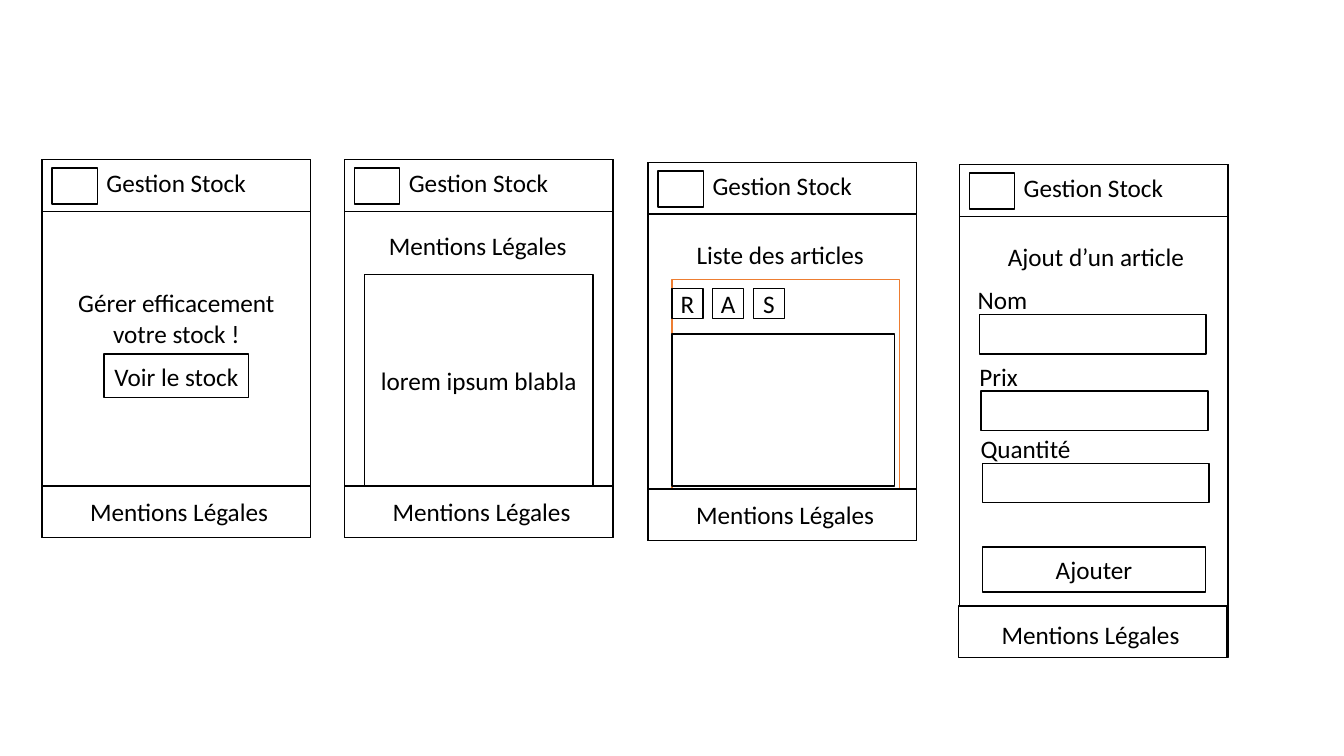
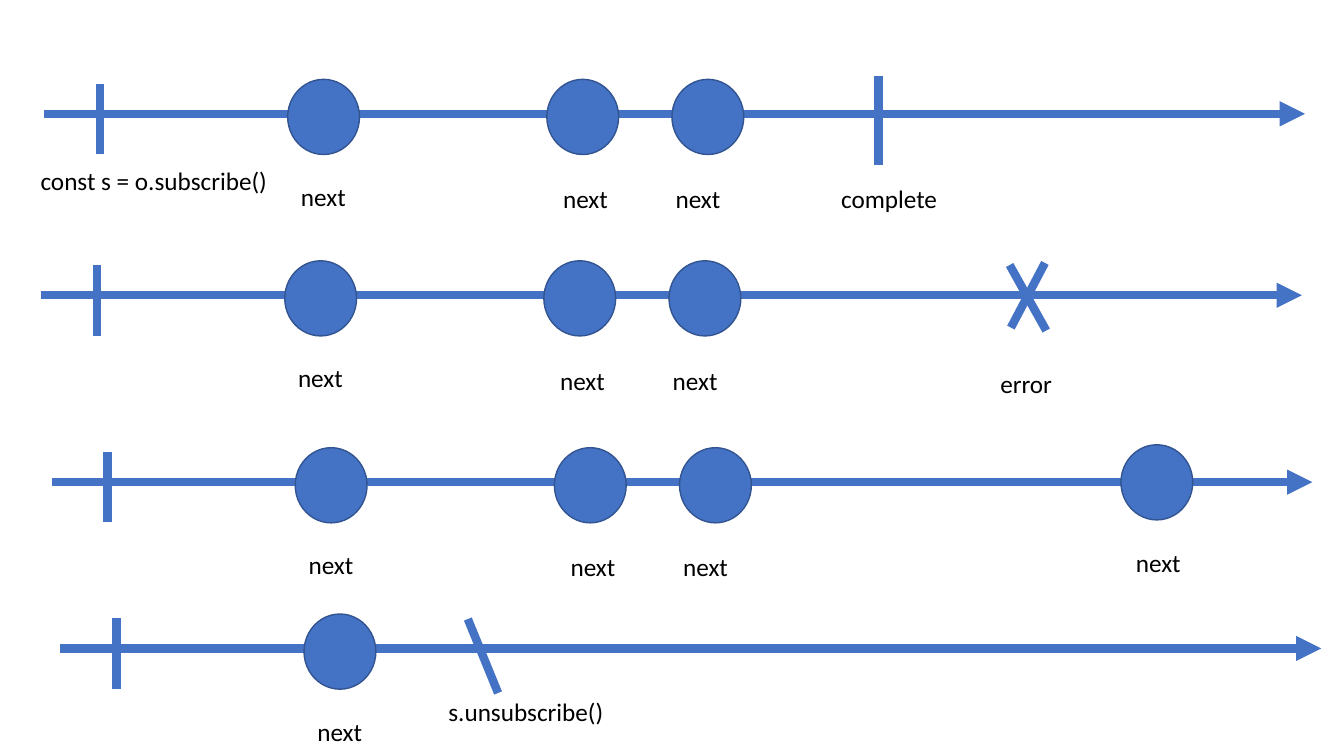
from dataclasses import dataclass
from typing import NamedTuple

from lxml.etree import SubElement
from pptx import Presentation
from pptx.dml.color import RGBColor as Rgb
from pptx.enum.shapes import MSO_CONNECTOR as Connector, MSO_SHAPE as Preset
from pptx.enum.text import MSO_ANCHOR as Anchor, MSO_AUTO_SIZE as AutoSize, PP_ALIGN as Align
from pptx.oxml.ns import qn
from pptx.util import Inches, Pt


@dataclass(frozen=True)
class Theme:
    font: str = "Calibri"
    size: float = 18
    ink: str = "000000"
    paper: str = "FFFFFF"
    highlight: str = "ED7D31"
    marble: str = "4472C4"
    marble_edge: str = "325491"
    thin: float = 1
    thick: float = 6


THEME = Theme()

# The slide is a grid of 160 columns by 90 rows of square cells
COLUMNS, ROWS = 160, 90
SLIDE_HEIGHT = Inches(7.5)
CELL = SLIDE_HEIGHT / ROWS
LABEL_HEIGHT = 4.8


class Box(NamedTuple):
    left: float
    top: float
    width: float
    height: float

    def inner(self, left, top, width, height):
        return Box(self.left + left, self.top + top, width, height)


def cells(*counts):
    return [round(count * CELL) for count in counts]


# Shared drawing helpers

def write(frame, text, align, wrap=False):
    frame.text = text
    frame.word_wrap = wrap
    paragraph = frame.paragraphs[0]
    paragraph.alignment = align
    font = paragraph.runs[0].font
    font.name, font.size = THEME.font, Pt(THEME.size)
    font.color.rgb = Rgb.from_string(THEME.ink)


def draw_shape(slide, box, text="", preset=Preset.RECTANGLE, fill=THEME.paper, edge=THEME.ink):
    shape = slide.shapes.add_shape(preset, *cells(*box))
    shape.shadow.inherit = False
    shape.fill.solid()
    shape.fill.fore_color.rgb = Rgb.from_string(fill)
    shape.line.color.rgb = Rgb.from_string(edge)
    shape.line.width = Pt(THEME.thin)
    if text:
        shape.text_frame.vertical_anchor = Anchor.MIDDLE
        write(shape.text_frame, text, Align.CENTER)


def draw_label(slide, box, text, align=Align.LEFT, wrap=False):
    frame = slide.shapes.add_textbox(*cells(*box)).text_frame
    write(frame, text, align, wrap)
    frame.auto_size = AutoSize.SHAPE_TO_FIT_TEXT


def draw_stroke(slide, start, end, arrow=False):
    stroke = slide.shapes.add_connector(Connector.STRAIGHT, *cells(*start, *end))
    stroke.line.color.rgb = Rgb.from_string(THEME.marble)
    stroke.line.width = Pt(THEME.thick)
    if arrow:
        SubElement(stroke.line._get_or_add_ln(), qn("a:tailEnd"), type="triangle")
    SubElement(stroke._element.spPr, qn("a:effectLst"))


# Wireframe screens: each body is placed relative to its screen

def home_body(slide, screen):
    draw_label(slide, screen.inner(0, 14.65, screen.width, 8.5),
               "Gérer efficacement votre stock !", Align.CENTER, wrap=True)
    draw_shape(slide, screen.inner(7.4, 23.15, 17.2, 5.2), "Voir le stock")


def legal_body(slide, screen):
    draw_label(slide, screen.inner(4.1, 7.8, 23.9, LABEL_HEIGHT), "Mentions Légales")
    draw_shape(slide, screen.inner(2.4, 13.7, 27.2, 25.2), "lorem ipsum blabla")


def list_body(slide, screen):
    margin = 2.85
    draw_shape(slide, screen.inner(margin, 13.9, 27.1, 24.95), edge=THEME.highlight)
    draw_label(slide, screen.inner(4.6, 8.5, 22.6, LABEL_HEIGHT), "Liste des articles")
    draw_shape(slide, screen.inner(margin, 20.4, 26.5, 18.1))
    for index, action in enumerate("RAS"):
        draw_shape(slide, screen.inner(margin + 4.85 * index, 15, 3.7, 3.6), action)


def form_body(slide, screen):
    draw_label(slide, screen.inner(4.6, 8.5, 23.6, LABEL_HEIGHT), "Ajout d’un article")
    fields = [("Nom", 1, 13.7, 8.4), ("Prix", 1.2, 22.8, 7.1), ("Quantité", 1.35, 31.4, 13.3)]
    for name, left, top, width in fields:
        draw_label(slide, screen.inner(left, top, width, LABEL_HEIGHT), name)
        draw_shape(slide, screen.inner(left + 1.4, top + 4.15, 27, 4.7))
    draw_shape(slide, screen.inner(2.75, 45.5, 26.6, 5.4), "Ajouter")


def draw_screen(slide, screen, body, footer_shift=0, footer_label=(4.55, 0.6)):
    bar_height = 6.15
    draw_shape(slide, screen)
    body(slide, screen)
    # Header with its icon slot
    draw_shape(slide, screen.inner(0, 0, screen.width, bar_height))
    draw_shape(slide, screen.inner(1.2, 1, 5.4, 4.3))
    draw_label(slide, screen.inner(6.5, 0.35, 19.2, LABEL_HEIGHT), "Gestion Stock")
    # Footer
    footer = screen.inner(footer_shift, screen.height - bar_height, screen.width, bar_height)
    draw_shape(slide, footer)
    draw_label(slide, footer.inner(*footer_label, 23.9, LABEL_HEIGHT), "Mentions Légales")


def wireframe_slide(slide):
    width, height = 32, 45
    draw_screen(slide, Box(5, 19, width, height), home_body)
    draw_screen(slide, Box(41, 19, width, height), legal_body)
    draw_screen(slide, Box(77.15, 19.35, width, height), list_body)
    draw_screen(slide, Box(114.2, 19.6, width, 58.7), form_body, -0.1, (3.95, 0.95))


# Observable timelines: offsets are counted from the start of each axis

class Marble(NamedTuple):
    left: float
    top: float
    label_left: float
    label_top: float


class Caption(NamedTuple):
    text: str
    left: float
    top: float
    width: float


FIRST = Marble(29, -4.1, 29.4, 7.45)
SECOND = Marble(59.85, -4.1, 60.6, 7.7)
THIRD = Marble(74.75, -4.1, 74, 7.7)
LATE = Marble(127.3, -4.45, 127.9, 7.2)

START = ((6.65, -3.6), (6.65, 4.8))
COMPLETE = ((99.35, -4.55), (99.35, 6.15))
ERROR = [((115.3, -3.6), (119.65, 4.2)), ((119.5, -3.85), (115.45, 3.85))]
UNSUBSCRIBE = ((48.5, -3.5), (52.1, 5.3))


def draw_timeline(slide, axis, marbles, marks=(), captions=()):
    def at(point):
        return axis.left + point[0], axis.top + point[1]

    draw_stroke(slide, at((0, 0)), at((axis.width, 0)), arrow=True)
    for start, end in (START, *marks):
        draw_stroke(slide, at(start), at(end))
    for marble in marbles:
        draw_shape(slide, axis.inner(marble.left, marble.top, 8.55, 8.95),
                   preset=Preset.OVAL, fill=THEME.marble, edge=THEME.marble_edge)
        draw_label(slide, axis.inner(marble.label_left, marble.label_top, 7.8, LABEL_HEIGHT), "next")
    for caption in captions:
        draw_label(slide, axis.inner(caption.left, caption.top, caption.width, LABEL_HEIGHT),
                   caption.text)


def marble_slide(slide):
    length = 150.1
    usual = [FIRST, SECOND, THIRD]
    draw_timeline(slide, Box(5.25, 13.55, length, 0), usual, [COMPLETE],
                  [Caption("const s = o.subscribe()", -1.6, 5.5, 29.65),
                   Caption("complete", 93.7, 7.7, 14)])
    draw_timeline(slide, Box(4.9, 35.15, length, 0), usual, ERROR,
                  [Caption("error", 113, 8.05, 8.65)])
    draw_timeline(slide, Box(6.15, 57.4, length, 0), [*usual, LATE])
    draw_timeline(slide, Box(7.2, 77.2, length, 0), [FIRST], [UNSUBSCRIBE],
                  [Caption("s.unsubscribe()", 45, 5.05, 21.1)])


def main():
    deck = Presentation()
    deck.slide_width, deck.slide_height = round(COLUMNS * CELL), SLIDE_HEIGHT
    blank = deck.slide_layouts[6]
    for build in (wireframe_slide, marble_slide):
        build(deck.slides.add_slide(blank))
    deck.save("out.pptx")


if __name__ == "__main__":
    main()
